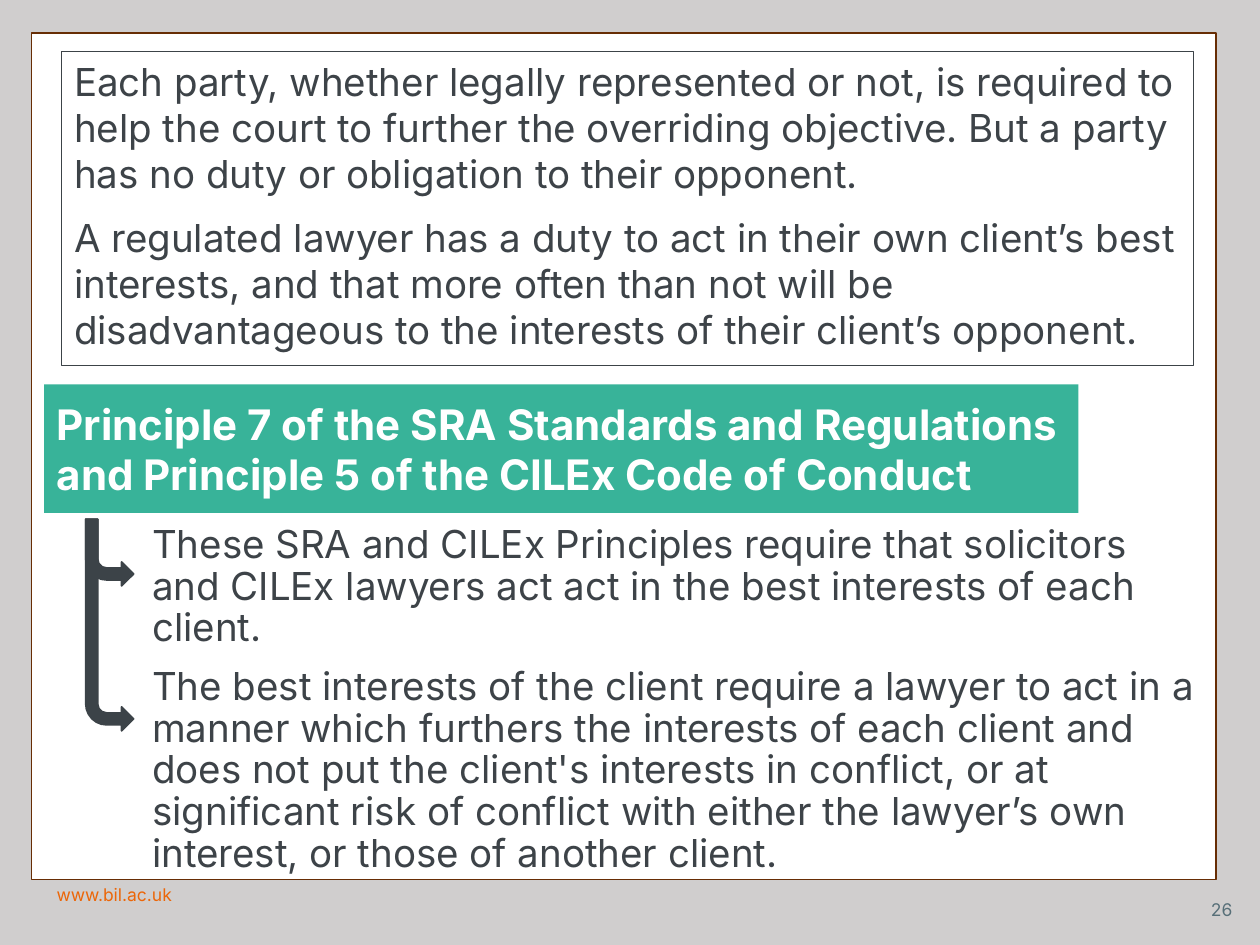
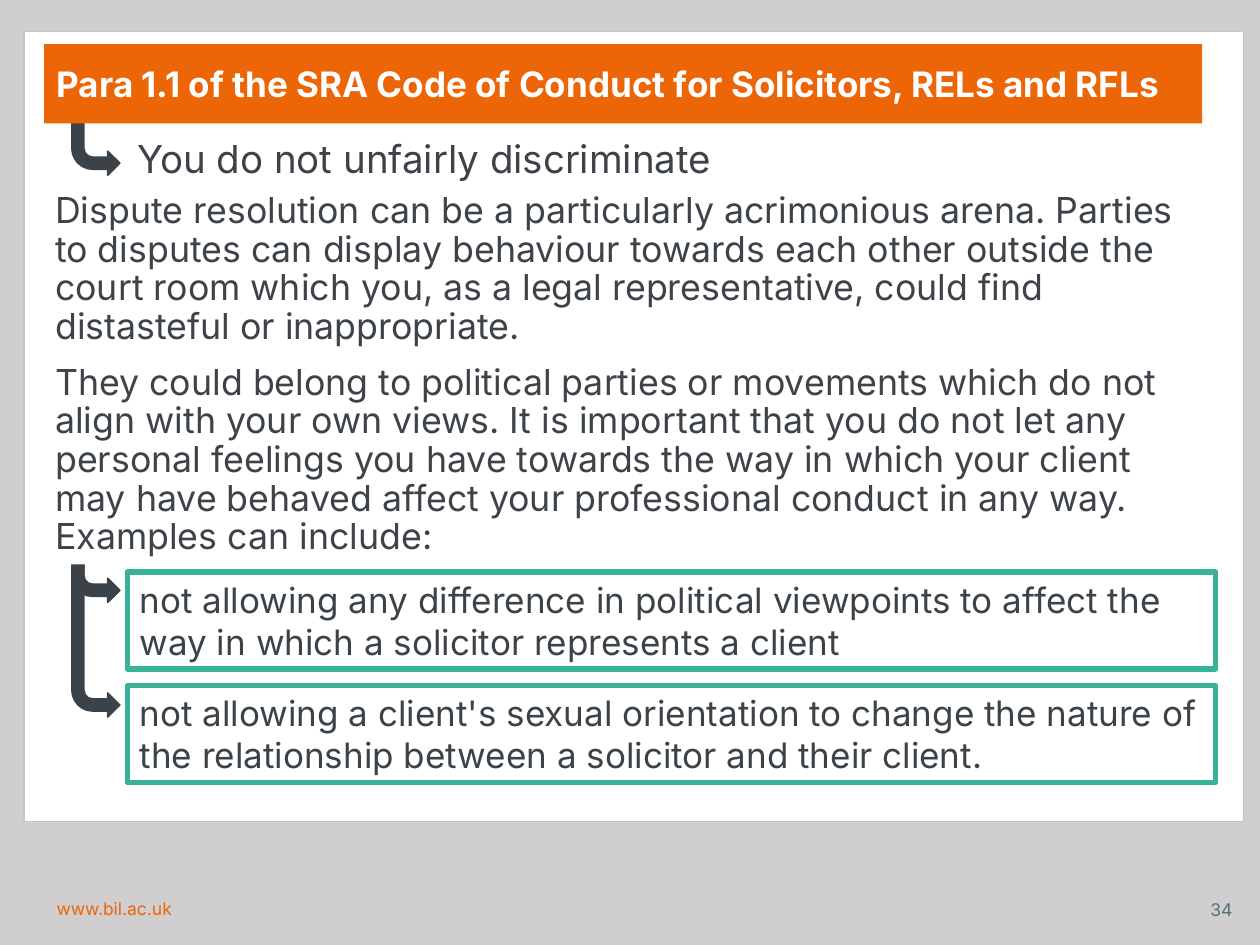
from dataclasses import dataclass, field
from typing import Optional

from pptx import Presentation
from pptx.dml.color import RGBColor
from pptx.enum import shapes, text
from pptx.oxml import ns
from pptx.util import Inches, Pt

COLS, ROWS = 100, 75
WIDE, HIGH = Inches(10), Inches(7.5)
TOP, MID = text.MSO_ANCHOR.TOP, text.MSO_ANCHOR.MIDDLE
LEFT, RIGHT = text.PP_ALIGN.LEFT, text.PP_ALIGN.RIGHT


@dataclass(frozen=True)
class Theme:
    font: str = "Inter"
    ground: str = "D0CECE"
    white: str = "FFFFFF"
    ink: str = "3D4348"
    dark: str = "3C4348"
    green: str = "38B399"
    orange: str = "EC6608"
    brown: str = "672D04"
    silver: str = "C3C6C8"
    slate: str = "576F78"
    head: float = 24
    large: float = 22
    body: float = 20.4
    small: float = 20
    foot: float = 10
    gap: float = 10


T = Theme()


@dataclass(frozen=True)
class Place:
    """Left, top, width and height in grid columns and rows."""
    x: float
    y: float
    w: float
    h: float

    def frame(self) -> dict:
        col, row = WIDE / COLS, HIGH / ROWS
        return {"left": round(self.x * col), "top": round(self.y * row),
                "width": round(self.w * col), "height": round(self.h * row)}


@dataclass(frozen=True)
class Look:
    fill: Optional[str] = None
    edge: Optional[str] = None
    line: float = 1


@dataclass(frozen=True)
class Style:
    size: float = T.large
    color: str = T.ink
    bold: bool = False
    space: float = 1.0
    align: text.PP_ALIGN = LEFT
    anchor: text.MSO_ANCHOR = TOP
    grow: bool = False


@dataclass(frozen=True)
class Block:
    place: Place
    words: tuple = ()
    look: Look = field(default_factory=Look)
    style: Style = field(default_factory=Style)


@dataclass(frozen=True)
class Tree:
    """Bent arrows that share one stem and end at the given rows."""
    x: float
    y: float
    ends: tuple


@dataclass(frozen=True)
class Page:
    number: int
    panel: Block
    title: Block
    foot: float
    blocks: tuple


def assign(item, values: dict) -> None:
    for name, value in values.items():
        setattr(item, name, value)


def paint(shape, look: Look) -> None:
    if look.fill:
        shape.fill.solid()
        shape.fill.fore_color.rgb = RGBColor.from_string(look.fill)
    else:
        shape.fill.background()
    if look.edge:
        shape.line.color.rgb = RGBColor.from_string(look.edge)
        shape.line.width = Pt(look.line)
    else:
        shape.line.fill.background()


def write(shape, words: tuple, style: Style) -> None:
    fit = text.MSO_AUTO_SIZE
    frame = shape.text_frame
    assign(frame, {"word_wrap": True, "vertical_anchor": style.anchor,
                   "auto_size": fit.SHAPE_TO_FIT_TEXT if style.grow else fit.NONE})
    for i, line in enumerate(words):
        para = frame.add_paragraph() if i else frame.paragraphs[0]
        para.text = line
        assign(para, {"alignment": style.align, "line_spacing": style.space,
                      "space_before": Pt(T.gap if i else 0)})
        font = para.runs[0].font
        assign(font, {"name": T.font, "size": Pt(style.size), "bold": style.bold})
        font.color.rgb = RGBColor.from_string(style.color)


def shape_of(slide, kind: shapes.MSO_SHAPE, place: Place):
    shape = slide.shapes.add_shape(kind, **place.frame())
    shape.shadow.inherit = False
    return shape


def draw(slide, block: Block) -> None:
    if block.look.fill or block.look.edge:
        shape = shape_of(slide, shapes.MSO_SHAPE.RECTANGLE, block.place)
        paint(shape, block.look)
    else:
        shape = slide.shapes.add_textbox(**block.place.frame())
    if block.words:
        write(shape, block.words, block.style)


def branch(slide, tree: Tree) -> None:
    for end in tree.ends:
        place = Place(tree.x, tree.y, 3.8, end - tree.y)
        arrow = shape_of(slide, shapes.MSO_SHAPE.BENT_ARROW, place)
        paint(arrow, Look(T.dark, T.dark))
        arrow.rotation = 180
        arrow._element.spPr.find(ns.qn("a:xfrm")).set("flipH", "1")


def head(slide, block: Block) -> None:
    """Format the title and bring it in front of the other blocks."""
    title = slide.shapes.title
    assign(title, block.place.frame())
    paint(title, block.look)
    write(title, block.words, block.style)
    slide.shapes._spTree.append(title._element)


def build(deck, page: Page) -> None:
    slide = deck.slides.add_slide(deck.slide_layouts[5])
    site = Block(Place(3.5, page.foot, 66.9, 3.9), ("www.bil.ac.uk",),
                 style=Style(T.foot, T.orange))
    count = Block(Place(94.1, 70.6, 4.7, 3.2), (str(page.number),),
                  style=Style(T.foot, T.slate, align=RIGHT, anchor=MID))
    for block in (page.panel, site, count, *page.blocks):
        if isinstance(block, Tree):
            branch(slide, block)
        else:
            draw(slide, block)
    head(slide, page.title)


def banner(words: str, place: Place, fill: str, size: float) -> Block:
    return Block(place, (words,), Look(fill),
                 Style(size, T.white, bold=True, anchor=MID))


DUTY = (
    "Each party, whether legally represented or not, is required to help the "
    "court to further the overriding objective. But a party has no duty or "
    "obligation to their opponent.",
    "A regulated lawyer has a duty to act in their own client’s best interests, "
    "and that more often than not will be disadvantageous to the interests of "
    "their client’s opponent.",
)
BEST = (
    "These SRA and CILEx Principles require that solicitors and CILEx lawyers "
    "act act in the best interests of each client.",
    "The best interests of the client require a lawyer to act in a manner which "
    "furthers the interests of each client and does not put the client's "
    "interests in conflict, or at significant risk of conflict with either the "
    "lawyer’s own interest, or those of another client.",
)
VIEWS = (
    "Dispute resolution can be a particularly acrimonious arena. Parties to "
    "disputes can display behaviour towards each other outside the court room "
    "which you, as a legal representative, could find distasteful or "
    "inappropriate.",
    "They could belong to political parties or movements which do not align with "
    "your own views. It is important that you do not let any personal feelings "
    "you have towards the way in which your client may have behaved affect your "
    "professional conduct in any way. Examples can include:",
)
CASES = (
    "not allowing any difference in political viewpoints to affect the way in "
    "which a solicitor represents a client",
    "not allowing a client's sexual orientation to change the nature of the "
    "relationship between a solicitor and their client.",
)

PAGES = (
    Page(
        26,
        Block(Place(2.5, 2.6, 94, 67.2), look=Look(T.white, T.brown)),
        banner("Principle 7 of the SRA Standards and Regulations and "
               "Principle 5 of the CILEx Code of Conduct",
               Place(3.5, 30.5, 82.1, 10.2), T.green, T.head),
        69.7,
        (Block(Place(11.1, 41.2, 85, 29.1), BEST, style=Style(space=0.9)),
         Block(Place(4.9, 4.1, 89.8, 24.9), DUTY, Look(edge=T.dark, line=0.75)),
         Tree(6.8, 41.2, (46.5, 58))),
    ),
    Page(
        34,
        Block(Place(1.9, 2.5, 96.8, 62.7), look=Look(T.white, T.silver)),
        banner("Para 1.1 of the SRA Code of Conduct for Solicitors, RELs and RFLs",
               Place(3.5, 3.5, 91.9, 6.3), T.orange, T.small),
        70.8,
        (Tree(5.7, 8.6, (13.9,)),
         Tree(5.7, 43.5, (47.8, 56.9)),
         Block(Place(3.4, 14.8, 93, 30), VIEWS, Look(T.white),
               Style(T.body, space=0.9)),
         Block(Place(9.9, 10.2, 85, 5.3), ("You do not unfairly discriminate",)),
         *(Block(Place(10.1, 45.4 + 9 * i, 86.4, 7.7), (case,),
                 Look(T.white, T.green, 3), Style(T.small, T.dark, grow=True))
           for i, case in enumerate(CASES))),
    ),
)


def main() -> None:
    deck = Presentation()
    assign(deck, {"slide_width": WIDE, "slide_height": HIGH})
    ground = deck.slide_master.background.fill
    ground.solid()
    ground.fore_color.rgb = RGBColor.from_string(T.ground)
    for page in PAGES:
        build(deck, page)
    deck.save("out.pptx")


if __name__ == "__main__":
    main()
